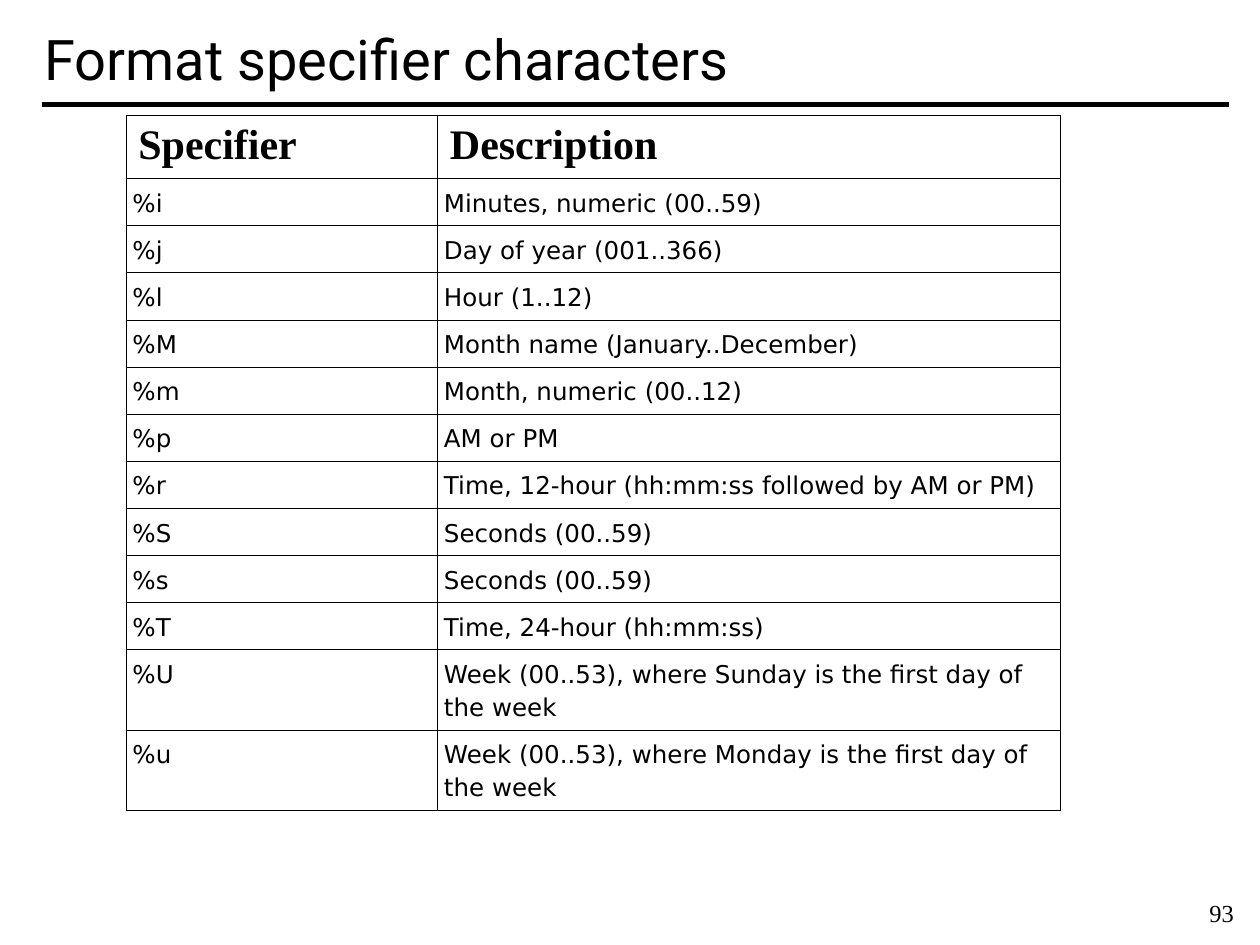
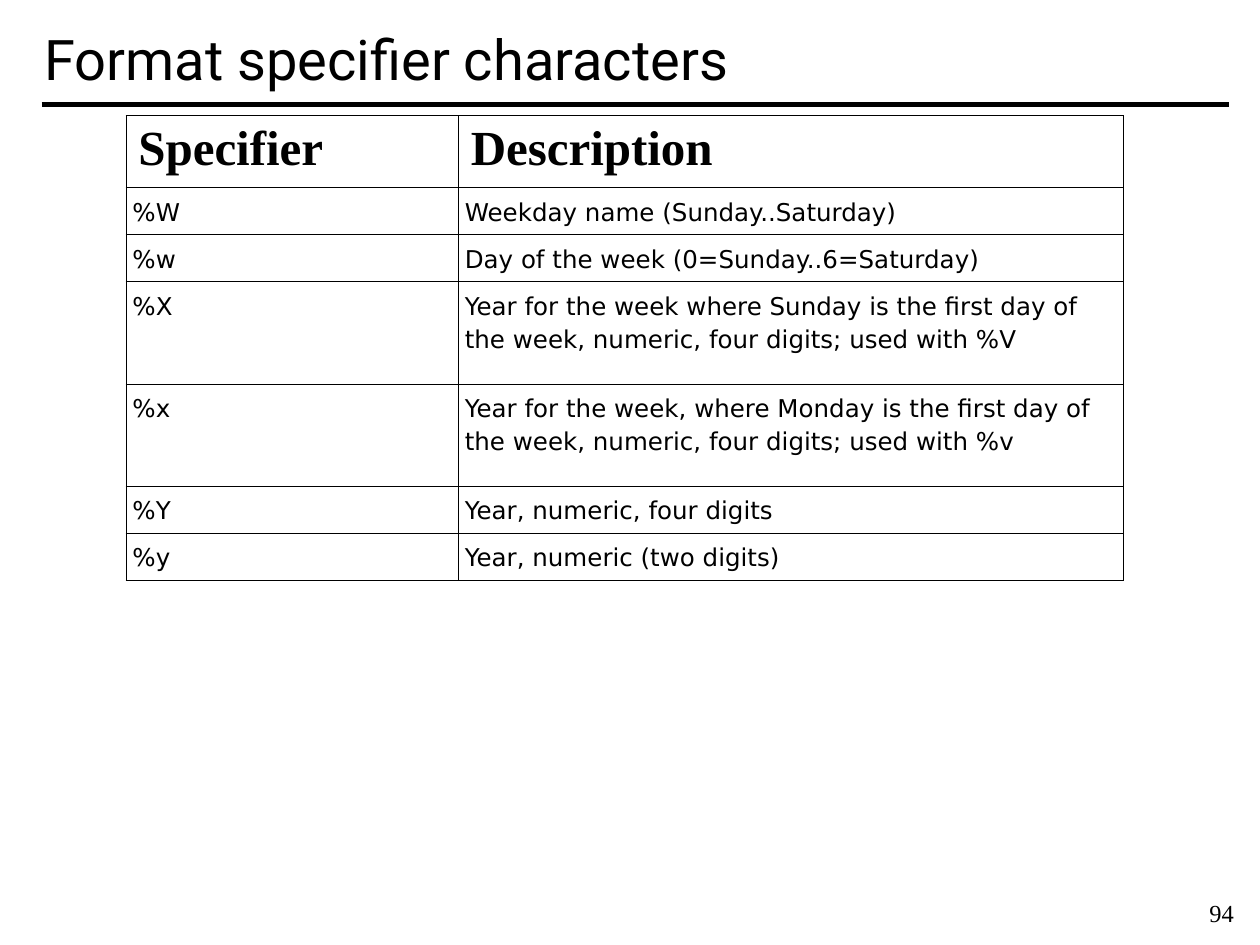
import pptx
import pptx.dml.color
import pptx.enum.shapes
import pptx.enum.text
import pptx.oxml.ns
import pptx.util
from lxml import etree
from pptx.util import Cm, Pt

BLACK = pptx.dml.color.RGBColor(0x00, 0x00, 0x00)
TITLE_FONT, HEAD_FONT, BODY_FONT = "Roboto", "Times New Roman", "DejaVu Sans"
PP_ALIGN = pptx.enum.text.PP_ALIGN
MSO_ANCHOR = pptx.enum.text.MSO_ANCHOR

TITLE = "Format specifier characters"
HEADINGS = ("Specifier", "Description")
TITLE_BOX = (0.64, 0, 24.13, 2.34)
NUMBER_BOX = (24.13, 17.98, 1.27, 0.86)
TABLE_LEFT, TABLE_TOP = 2.54, 2.33
ROW_HEIGHT = 0.95

# Rows: specifier, description, and a height where it is not the usual one
TIME_ROWS = [
    ("%i", "Minutes, numeric (00..59)"),
    ("%j", "Day of year (001..366)"),
    ("%l", "Hour (1..12)"),
    ("%M", "Month name (January..December)"),
    ("%m", "Month, numeric (00..12)"),
    ("%p", "AM or PM"),
    ("%r", "Time, 12-hour (hh:mm:ss followed by AM or PM)"),
    ("%S", "Seconds (00..59)"),
    ("%s", "Seconds (00..59)"),
    ("%T", "Time, 24-hour (hh:mm:ss)"),
    ("%U", "Week (00..53), where Sunday is the first day of the week", 1.62),
    ("%u", "Week (00..53), where Monday is the first day of the week", 1.62),
]
YEAR_ROWS = [
    ("%W", "Weekday name (Sunday..Saturday)"),
    ("%w", "Day of the week (0=Sunday..6=Saturday)"),
    ("%X", "Year for the week where Sunday is the first day of the week, "
           "numeric, four digits; used with %V", 2.06),
    ("%x", "Year for the week, where Monday is the first day of the week, "
           "numeric, four digits; used with %v", 2.06),
    ("%Y", "Year, numeric, four digits"),
    ("%y", "Year, numeric (two digits)"),
]


def add_run(p, text, font, size, bold=False):
    r = p.add_run()
    r.text = text
    r.font.name, r.font.size, r.font.bold = font, Pt(size), bold
    r.font.color.rgb = BLACK


def set_borders(cell, width=0.45):
    """Draw a thin black line on all four sides of a cell."""
    tc_pr = cell._tc.get_or_add_tcPr()
    qn = pptx.oxml.ns.qn
    for i, side in enumerate(("lnL", "lnR", "lnT", "lnB")):
        ln = etree.Element(qn("a:" + side), w=str(Pt(width)))
        fill = etree.SubElement(ln, qn("a:solidFill"))
        etree.SubElement(fill, qn("a:srgbClr"), val=str(BLACK))
        tc_pr.insert(i, ln)


def add_title(s, box):
    """Title with the heavy rule beneath it."""
    left, top, width, height = box
    sp = s.shapes.title
    sp.left, sp.top, sp.width, sp.height = (Cm(v) for v in box)
    tf = sp.text_frame
    tf.auto_size = pptx.enum.text.MSO_AUTO_SIZE.NONE
    tf.vertical_anchor = MSO_ANCHOR.MIDDLE
    p = tf.paragraphs[0]
    p.alignment = PP_ALIGN.LEFT
    add_run(p, TITLE, TITLE_FONT, 32)

    y = Cm(top + height - 0.23)
    rule = s.shapes.add_connector(pptx.enum.shapes.MSO_CONNECTOR.STRAIGHT,
                                  Cm(left + 0.2), y, Cm(left + width), y)
    rule.line.color.rgb, rule.line.width = BLACK, Pt(3)
    etree.SubElement(rule._element.spPr, pptx.oxml.ns.qn("a:effectLst"))


def add_page_number(s, box, number):
    sp = s.shapes.add_textbox(*(Cm(v) for v in box))
    sp.text_frame.word_wrap = True
    add_run(sp.text_frame.paragraphs[0], str(number), HEAD_FONT, 14)


def fill_cell(cell, text, heading_size=None):
    """Write one cell; a heading size marks the heading row."""
    cell.fill.background()
    set_borders(cell)
    p = cell.text_frame.paragraphs[0]
    cell.margin_top = cell.margin_bottom = Cm(0.13)
    if heading_size:
        cell.margin_left = cell.margin_right = Cm(0.25)
        p.alignment = PP_ALIGN.JUSTIFY
        add_run(p, text, HEAD_FONT, heading_size, bold=True)
    else:
        cell.margin_left = cell.margin_right = Cm(0.13)
        p.line_spacing, p.space_after = 1.15, Pt(10)
        add_run(p, text, BODY_FONT, 14)


def add_specifier_table(s, left, top, width, rows, heading_size, heading_height):
    heights = [heading_height] + [row[2] if len(row) > 2 else ROW_HEIGHT for row in rows]
    table = s.shapes.add_table(len(heights), 2, Cm(left), Cm(top),
                               Cm(width), Cm(sum(heights))).table
    table.first_row = table.horz_banding = False
    # The description column is twice as wide as the specifier column
    for column, share in zip(table.columns, (1, 2)):
        column.width = Cm(width * share / 3)
    for i, (row, height) in enumerate(zip([HEADINGS] + rows, heights)):
        table.rows[i].height = Cm(height)
        for j, text in enumerate(row[:2]):
            fill_cell(table.cell(i, j), text, heading_size if i == 0 else None)


def add_specifier_slide(prs, number, width, rows, heading_size, heading_height):
    s = prs.slides.add_slide(prs.slide_layouts[5])
    add_title(s, TITLE_BOX)
    add_specifier_table(s, TABLE_LEFT, TABLE_TOP, width, rows, heading_size, heading_height)
    add_page_number(s, NUMBER_BOX, number)


def main():
    prs = pptx.Presentation()
    prs.slide_width, prs.slide_height = Cm(25.4), Cm(19.05)
    add_specifier_slide(prs, 93, 18.84, TIME_ROWS, 24, 1.27)
    add_specifier_slide(prs, 94, 20.1, YEAR_ROWS, 28, 1.45)
    prs.save("out.pptx")


if __name__ == "__main__":
    main()
